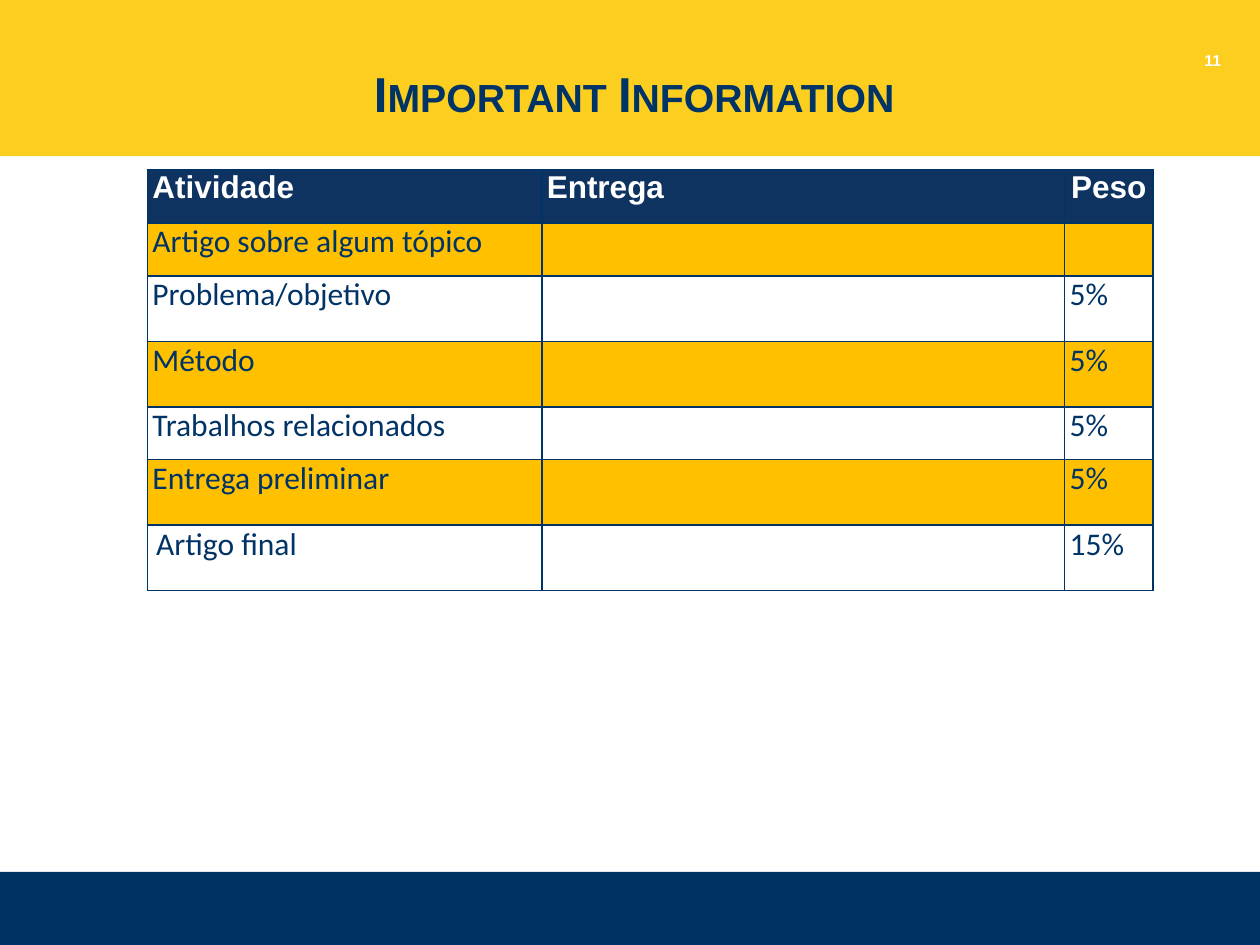
from dataclasses import dataclass

from lxml.etree import SubElement
from pptx import Presentation
from pptx.dml.color import RGBColor as RGB
from pptx.enum.shapes import MSO_SHAPE as SHAPE
from pptx.enum.text import MSO_ANCHOR as ANCHOR, PP_ALIGN as ALIGN
from pptx.oxml.ns import qn
from pptx.util import Inches, Pt


@dataclass(frozen=True)
class Theme:
    navy: str = "003264"
    ink: str = "003366"
    header: str = "0E3361"
    yellow: str = "FBCE20"
    amber: str = "FFC000"
    white: str = "FFFFFF"
    heading_font: str = "Arial"
    body_font: str = "Calibri"
    title_size: int = 28
    table_size: int = 18
    number_size: int = 9


def write(tf, text, *, font, size, color, bold=False, align=ALIGN.LEFT, small_caps=False):
    p = tf.paragraphs[0]
    p.alignment = align
    p.font.size = Pt(size)
    if not text:
        return
    r = p.add_run()
    r.text = text
    r.font.name, r.font.size, r.font.bold = font, Pt(size), bold
    r.font.color.rgb = RGB.from_string(color)
    if small_caps:
        r.font._element.set("cap", "small")


class SlideBuilder:
    """Draws styled elements on the current slide."""

    def __init__(self, slide, theme):
        self.s, self.theme = slide, theme

    def band(self, top, height, color):
        sp = self.s.shapes.add_shape(SHAPE.RECTANGLE, 0, Inches(top), Inches(10), Inches(height))
        sp.shadow.inherit = False
        sp.fill.solid()
        sp.fill.fore_color.rgb = RGB.from_string(color)
        sp.line.fill.background()

    def text(self, box, text, anchor=ANCHOR.TOP, **style):
        tf = self.s.shapes.add_textbox(*map(Inches, box)).text_frame
        tf.word_wrap = True
        tf.vertical_anchor = anchor
        write(tf, text, font=self.theme.heading_font, bold=True, align=ALIGN.CENTER, **style)

    def border(self, cell):
        tc_pr = cell._tc.get_or_add_tcPr()
        for i, side in enumerate(("lnL", "lnR", "lnT", "lnB")):
            ln = tc_pr.makeelement(qn(f"a:{side}"), {"w": str(Pt(1))})
            fill = SubElement(ln, qn("a:solidFill"))
            SubElement(fill, qn("a:srgbClr"), val=self.theme.ink)
            tc_pr.insert(i, ln)

    def cell(self, cell, text, fill, inset=0.04, **style):
        cell.margin_left = cell.margin_right = Inches(inset)
        cell.margin_top = cell.margin_bottom = 0
        cell.fill.solid()
        cell.fill.fore_color.rgb = RGB.from_string(fill)
        self.border(cell)
        write(cell.text_frame, text, size=self.theme.table_size, **style)

    def table(self, left, top, widths, heights, rows):
        t = self.theme
        frame = self.s.shapes.add_table(len(rows), len(widths), Inches(left), Inches(top),
                                        Inches(sum(widths)), Inches(sum(heights)))
        tbl = frame.table
        tbl.first_row = tbl.horz_banding = False
        for col, width in zip(tbl.columns, widths):
            col.width = Inches(width)
        for row, height in zip(tbl.rows, heights):
            row.height = Inches(height)
        for i, values in enumerate(rows):
            for j, value in enumerate(values):
                if i == 0:
                    align = ALIGN.CENTER if j == len(widths) - 1 else ALIGN.LEFT
                    self.cell(tbl.cell(i, j), value, t.header, font=t.heading_font,
                              color=t.white, bold=True, align=align)
                else:
                    inset = 0.07 if i == len(rows) - 1 and j == 0 else 0.04
                    self.cell(tbl.cell(i, j), value, t.amber if i % 2 else t.white,
                              inset, font=t.body_font, color=t.ink)


def main():
    theme = Theme()
    prs = Presentation()
    prs.slide_width, prs.slide_height = Inches(10), Inches(7.5)
    page = SlideBuilder(prs.slides.add_slide(prs.slide_layouts[6]), theme)

    page.band(6.92, 0.58, theme.navy)
    page.band(0, 1.24, theme.yellow)
    page.band(1.26, 0.44, theme.white)
    page.text((0.49, 0.2, 9.09, 1.08), "Important Information", ANCHOR.MIDDLE,
              size=theme.title_size, color=theme.ink, small_caps=True)

    activities = [
        ("Artigo sobre algum tópico", ""),
        ("Problema/objetivo", "5%"),
        ("Método", "5%"),
        ("Trabalhos relacionados", "5%"),
        ("Entrega preliminar", "5%"),
        ("Artigo final", "15%"),
    ]
    rows = [("Atividade", "Entrega", "Peso")]
    rows += [(name, "", weight) for name, weight in activities]
    short, tall = 0.42, 0.52
    page.table(1.17, 1.35, (3.13, 4.15, 0.7),
               (short, short, tall, tall, short, tall, tall), rows)
    page.text((9.25, 0.35, 0.75, 0.35), "11", size=theme.number_size, color=theme.white)

    prs.save("out.pptx")


if __name__ == "__main__":
    main()
